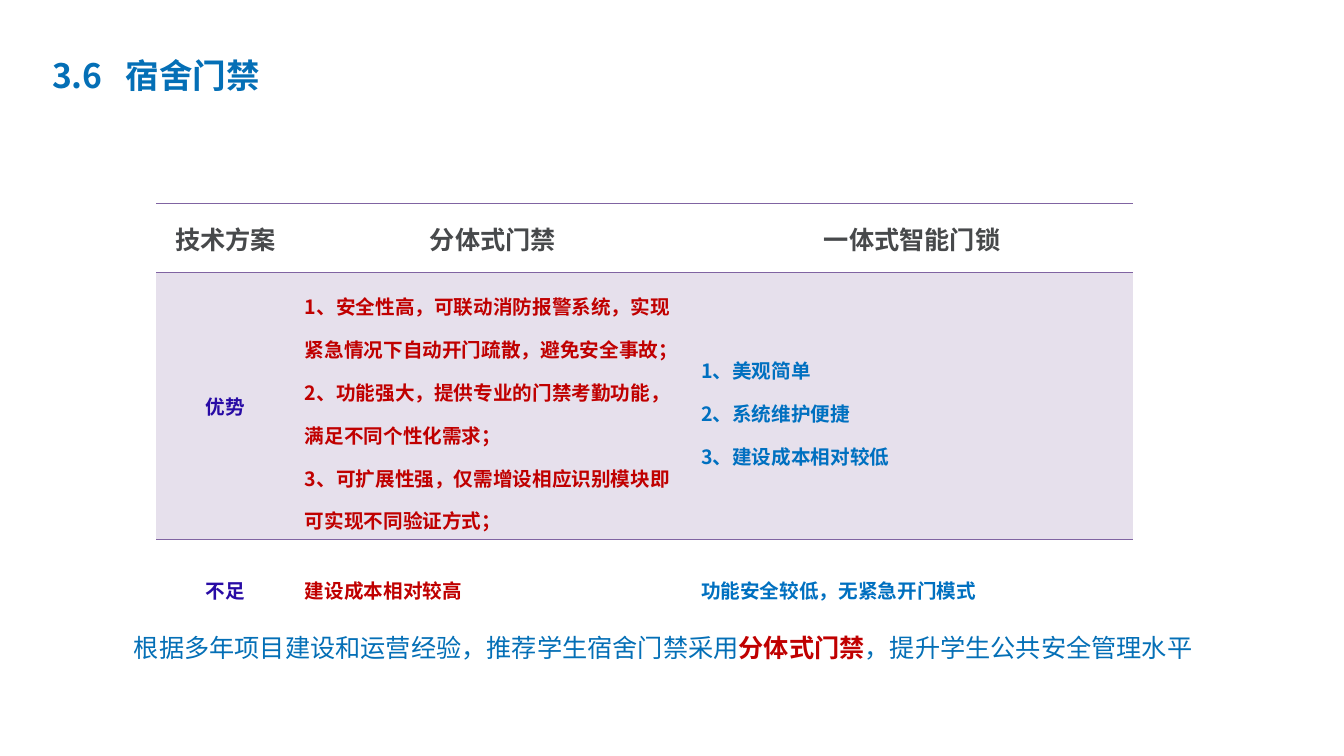
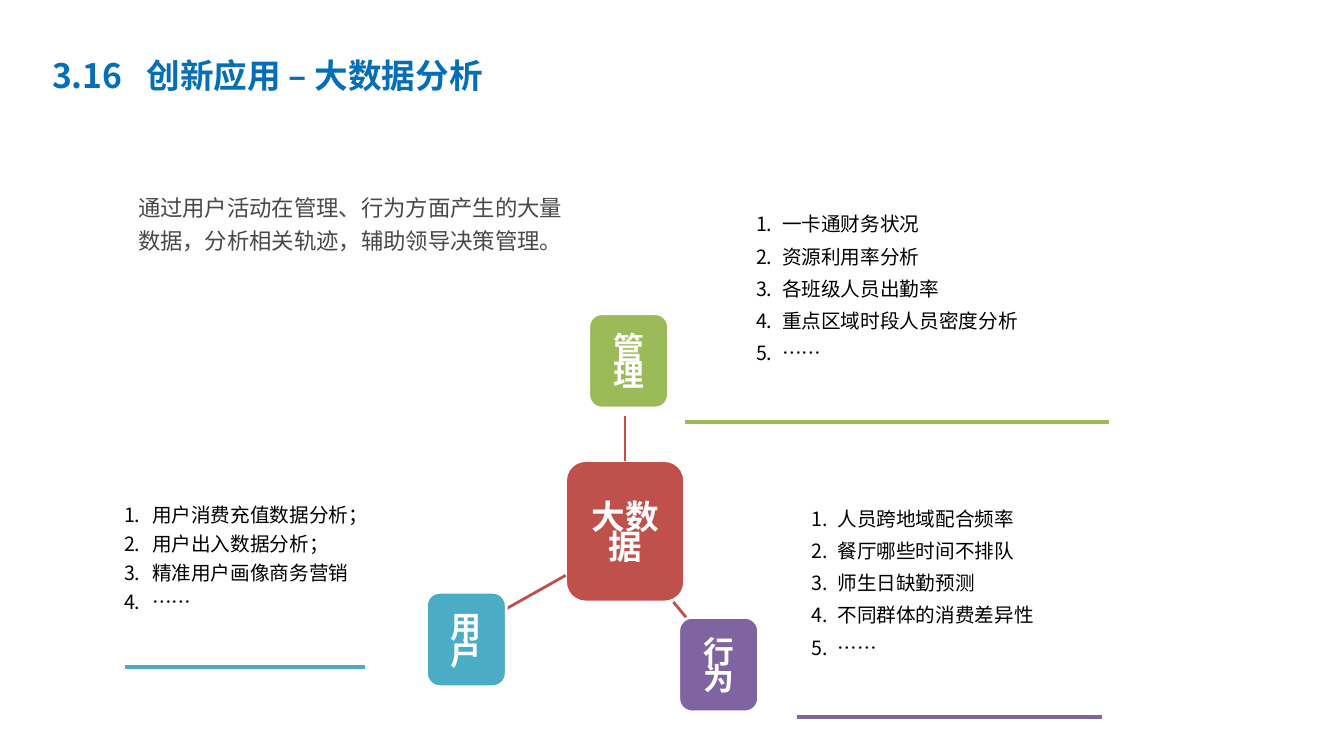
from pptx import Presentation
from pptx.dml.color import RGBColor
from pptx.enum.shapes import MSO_CONNECTOR as Connector, MSO_SHAPE as Shape
from pptx.enum.text import MSO_ANCHOR as Anchor, MSO_AUTO_SIZE as AutoSize, PP_ALIGN as Align
from pptx.oxml.ns import qn
from pptx.util import Pt
from lxml.etree import SubElement

FONT = "Noto Sans CJK SC"
NO_GRID_STYLE = "{2D5ABB26-0587-4C30-8999-92F81FD0307C}"
COLORS = {
    "title": "046FB6", "text": "47494B", "black": "000000", "white": "FFFFFF",
    "label": "280BA5", "split": "C00000", "lock": "0070C0",
    "table_line": "8064A2", "table_band": "E6E0EC",
    "hub": "C0504C", "manage": "9BBB59", "behavior": "8064A2", "user": "4BACC6",
}
TITLE_BOX = (30, 29, 537, 53)


def rgb(color):
    return RGBColor.from_string(COLORS[color])


def add_numbering(paragraph, margin, hanging):
    properties = paragraph._p.get_or_add_pPr()
    properties.set("marL", str(Pt(margin)))
    properties.set("indent", str(-Pt(hanging)))
    SubElement(properties, qn("a:buAutoNum"), type="arabicPeriod")


def add_tab_stop(paragraph, position):
    properties = paragraph._p.get_or_add_pPr()
    stops = SubElement(properties, qn("a:tabLst"))
    SubElement(stops, qn("a:tab"), pos=str(Pt(position)), algn="l")


def write_text(frame, paragraphs, size=14, color="black", bold=False, align=Align.LEFT,
               spacing=1, gap=0, anchor=Anchor.TOP, insets=(7.2, 3.6, 7.2, 3.6),
               numbering=None, tab=None):
    """Fill a frame; a paragraph is a string or a list of (text, color, bold) runs."""
    frame.word_wrap = True
    frame.auto_size = AutoSize.NONE
    frame.vertical_anchor = anchor
    (frame.margin_left, frame.margin_top,
     frame.margin_right, frame.margin_bottom) = map(Pt, insets)
    for index, content in enumerate(paragraphs):
        paragraph = frame.add_paragraph() if index else frame.paragraphs[0]
        if numbering:
            add_numbering(paragraph, *numbering)
        if tab:
            add_tab_stop(paragraph, tab)
        paragraph.alignment = align
        paragraph.line_spacing = spacing
        if index and gap:
            paragraph.space_before = Pt(gap)
        runs = [(content, color, bold)] if isinstance(content, str) else content
        for text, run_color, run_bold in runs:
            run = paragraph.add_run()
            run.text = text
            run.font.size = Pt(size)
            run.font.bold = run_bold
            run.font.color.rgb = rgb(run_color)
            run.font.name = FONT
            SubElement(run._r.get_or_add_rPr(), qn("a:ea"), typeface=FONT)


def add_text(slide, box, paragraphs, **text_format):
    text_box = slide.shapes.add_textbox(*map(Pt, box))
    write_text(text_box.text_frame, paragraphs, **text_format)


def add_titled_slide(presentation, number, name, tab):
    slide = presentation.slides.add_slide(presentation.slide_layouts[5])
    title = slide.shapes.title
    title.left, title.top, title.width, title.height = map(Pt, TITLE_BOX)
    write_text(title.text_frame, [f"{number}\t{name}"], size=24, color="title", bold=True,
               spacing=0.9, anchor=Anchor.MIDDLE, tab=tab)
    return slide


def add_line(slide, start, end, color, width):
    line = slide.shapes.add_connector(Connector.STRAIGHT, *map(Pt, start + end))
    line.line.color.rgb = rgb(color)
    line.line.width = Pt(width)
    SubElement(line._element.spPr, qn("a:effectLst"))
    return line


def add_node(slide, box, text, color, size):
    node = slide.shapes.add_shape(Shape.ROUNDED_RECTANGLE, *map(Pt, box))
    node.shadow.inherit = False
    node.fill.solid()
    node.fill.fore_color.rgb = rgb(color)
    node.line.color.rgb = rgb("white")
    node.line.width = Pt(2)
    write_text(node.text_frame, [text], size=size, color="white", bold=True,
               align=Align.CENTER, spacing=0.74, anchor=Anchor.MIDDLE, insets=(9, 8, 9, 2))
    return node


def add_list(slide, box, items, numbering, gap=0):
    add_text(slide, box, items, spacing=1.24, gap=gap, numbering=numbering,
             insets=(8, 4.3, 8, 4.3))


def add_cell_border(cell, side):
    border = SubElement(cell._tc.get_or_add_tcPr(), qn(f"a:{side}"), w=str(Pt(1)))
    fill = SubElement(border, qn("a:solidFill"))
    SubElement(fill, qn("a:srgbClr"), val=COLORS["table_line"])


def add_comparison_table(slide, left, top, widths, heights, rows):
    """Draw a header row, a shaded row and a plain row; cells are lists of paragraphs."""
    frame = slide.shapes.add_table(len(rows), len(widths), Pt(left), Pt(top),
                                   Pt(sum(widths)), Pt(sum(heights)))
    table = frame.table
    table.horz_banding = False
    table._tbl.tblPr.find(qn("a:tableStyleId")).text = NO_GRID_STYLE
    for column, width in zip(table.columns, widths):
        column.width = Pt(width)
    for row, height in zip(table.rows, heights):
        row.height = Pt(height)
    column_colors = ("label", "split", "lock")
    for row_index, row in enumerate(rows):
        header = row_index == 0
        for column_index, paragraphs in enumerate(row):
            cell = table.cell(row_index, column_index)
            write_text(cell.text_frame, paragraphs, bold=True,
                       size=18 if header else 14,
                       color="text" if header else column_colors[column_index],
                       align=Align.CENTER if header or column_index == 0 else Align.LEFT,
                       spacing=1.5 if row_index == 1 and column_index else 1)
            cell.vertical_anchor = Anchor.MIDDLE
            if header:
                add_cell_border(cell, "lnT")
                add_cell_border(cell, "lnB")
            if row_index == 1:
                add_cell_border(cell, "lnT")
                cell.fill.solid()
                cell.fill.fore_color.rgb = rgb("table_band")
            else:
                cell.fill.background()


def build_door_slide(presentation):
    slide = add_titled_slide(presentation, "3.6", "宿舍门禁", 52.6)
    add_comparison_table(slide, 111.6, 145.6, (99, 283, 316), (49, 190, 72), [
        [["技术方案"], ["分体式门禁"], ["一体式智能门锁"]],
        [["优势"],
         ["1、安全性高，可联动消防报警系统，实现紧急情况下自动开门疏散，避免安全事故；",
          "2、功能强大，提供专业的门禁考勤功能，满足不同个性化需求；",
          "3、可扩展性强，仅需增设相应识别模块即可实现不同验证方式；"],
         ["1、美观简单", "2、系统维护便捷", "3、建设成本相对较低"]],
        [["不足"], ["建设成本相对较高"], ["功能安全较低，无紧急开门模式"]],
    ])
    add_text(slide, (88.6, 448, 783, 32), [[
        ("根据多年项目建设和运营经验，推荐学生宿舍门禁采用", "title", False),
        ("分体式门禁", "split", True),
        ("，提升学生公共安全管理水平", "title", False),
    ]], size=18)


def build_data_slide(presentation):
    slide = add_titled_slide(presentation, "3.16", "创新应用 – 大数据分析", 67.6)

    hub = add_node(slide, (404, 329, 85, 101), "大数据", "hub", 24)
    spoke = add_line(slide, (446.5, 329), (446.5, 297.4), "hub", 2)
    spoke.begin_connect(hub, 0)
    add_line(slide, (481, 430), (490.5, 441.5), "hub", 2)
    add_line(slide, (404, 411), (361.4, 435), "hub", 2)
    for left, top, text, color in ((420.5, 224, "管理", "manage"),
                                   (484.8, 441, "行为", "behavior"),
                                   (304.6, 423, "用户", "user")):
        add_node(slide, (left, top, 57, 67.5), text, color, 22)

    add_list(slide, (524.2, 353.5, 289, 150),
             ["人员跨地域配合频率", "餐厅哪些时间不排队", "师生日缺勤预测",
              "不同群体的消费差异性", "……"], (66, 18.5), gap=2.2)
    add_list(slide, (484.6, 143.3, 289, 150),
             ["一卡通财务状况", "资源利用率分析", "各班级人员出勤率",
              "重点区域时段人员密度分析", "……"], (66, 18.5), gap=2.2)
    add_list(slide, (80.6, 350.6, 289, 112),
             ["用户消费充值数据分析；", "用户出入数据分析；", "精准用户画像商务营销", "……"],
             (20, 20))
    for left, right, top, color in ((489, 792, 301.7, "manage"),
                                    (569.5, 787, 512.2, "behavior"),
                                    (89.3, 260.6, 476.6, "user")):
        add_line(slide, (left, top), (right, top), color, 3)

    add_text(slide, (90, 129.5, 328, 67),
             ["通过用户活动在管理、行为方面产生的大量数据，分析相关轨迹，辅助领导决策管理。"],
             size=16, color="text", spacing=1.24, insets=(8.6, 4.3, 8.6, 4.3))


def main():
    presentation = Presentation()
    presentation.slide_width, presentation.slide_height = Pt(960), Pt(540)
    build_door_slide(presentation)
    build_data_slide(presentation)
    presentation.save("out.pptx")


if __name__ == "__main__":
    main()
